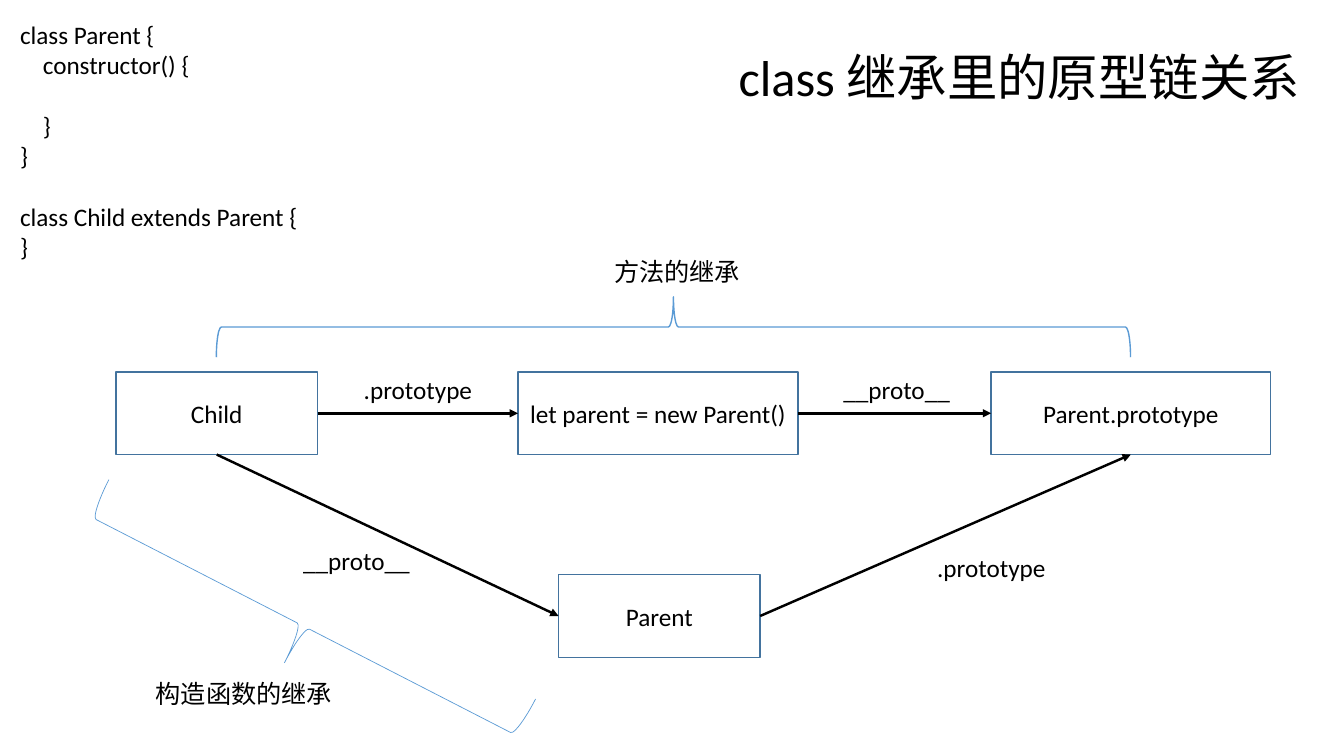
from lxml import etree
from pptx import Presentation
from pptx import util as u
from pptx.dml.color import RGBColor
from pptx.enum import shapes, text
from pptx.oxml.ns import qn

COLORS = {"text": "000000", "box": "43739E", "brace": "5B9BD5"}
TOP, LEFT, BOTTOM, RIGHT = 0, 1, 2, 3


class Diagram:
    font = "Calibri"
    size = 18
    box_height = 59

    def __init__(self, slide):
        self.slide = slide

    def color(self, name):
        return RGBColor.from_string(COLORS[name])

    def style_paragraph(self, paragraph, size, align):
        paragraph.alignment = align
        paragraph.font.name = self.font
        paragraph.font.size = u.Pt(size)
        paragraph.font.color.rgb = self.color("text")

    def outline(self, kind, left, top, width, height, color, weight):
        shape = self.slide.shapes.add_shape(
            kind, u.Pt(left), u.Pt(top), u.Pt(width), u.Pt(height))
        shape.shadow.inherit = False
        shape.fill.background()
        shape.line.color.rgb = self.color(color)
        shape.line.width = u.Pt(weight)
        return shape

    def box(self, label, left, top, width):
        shape = self.outline(shapes.MSO_SHAPE.RECTANGLE, left, top, width,
                             self.box_height, "box", 1)
        frame = shape.text_frame
        frame.word_wrap = True
        frame.vertical_anchor = text.MSO_ANCHOR.MIDDLE
        frame.text = label
        self.style_paragraph(frame.paragraphs[0], self.size, text.PP_ALIGN.CENTER)
        return shape

    def brace(self, left, top, width, height, rotation, weight):
        shape = self.outline(shapes.MSO_SHAPE.LEFT_BRACE, left, top, width, height,
                             "brace", weight)
        shape.rotation = rotation

    def arrow(self, start, start_side, end, end_side,
              kind=shapes.MSO_CONNECTOR.STRAIGHT):
        connector = self.slide.shapes.add_connector(kind, 0, 0, 0, 0)
        connector.begin_connect(start, start_side)
        connector.end_connect(end, end_side)
        connector.line.color.rgb = self.color("text")
        connector.line.width = u.Pt(1.75)
        etree.SubElement(connector.line._get_or_add_ln(), qn("a:tailEnd"),
                         type="triangle")
        etree.SubElement(connector._element.spPr, qn("a:effectLst"))

    def text_box(self, lines, left, top, width, height, size=size,
                 align=text.PP_ALIGN.CENTER):
        shape = self.slide.shapes.add_textbox(
            u.Pt(left), u.Pt(top), u.Pt(width), u.Pt(height))
        frame = shape.text_frame
        frame.word_wrap = True
        frame.text = "\n".join(lines)
        for paragraph in frame.paragraphs:
            self.style_paragraph(paragraph, size, align)
        return frame.paragraphs

    def code(self, lines, left, top, width, height):
        """Each line is (text, indent level, blank lines above)."""
        paragraphs = self.text_box([line[0] for line in lines], left, top, width,
                                   height, align=text.PP_ALIGN.LEFT)
        for paragraph, (_, level, gap) in zip(paragraphs, lines):
            paragraph.space_before = u.Pt(22 * gap)
            properties = paragraph._p.get_or_add_pPr()
            properties.set("marL", str(u.Pt(16.3 * level)))
            properties.set("indent", "0")


def main():
    presentation = Presentation()
    presentation.slide_width = u.Pt(960)
    presentation.slide_height = u.Pt(540)
    slide = presentation.slides.add_slide(presentation.slide_layouts[6])
    diagram = Diagram(slide)

    # Title and class definitions
    diagram.text_box(["class 继承里的原型链关系"], 520.5, 29.5, 440, 51, size=36,
                     align=text.PP_ALIGN.LEFT)
    diagram.code([
        ("class Parent {", 0, 0),
        ("constructor() {", 1, 0),
        ("}", 1, 1),
        ("}", 0, 0),
        ("class Child extends Parent {", 0, 1),
        ("}", 0, 0),
    ], 7.2, 10, 248, 181.5)

    # Objects of the prototype chain
    row_top = 265.7
    child = diagram.box("Child", 82.8, row_top, 144)
    instance = diagram.box("let parent = new Parent()", 370, row_top, 200)
    prototype = diagram.box("Parent.prototype", 708, row_top, 199.5)
    parent = diagram.box("Parent", 399, 410.5, 144)

    # Links between them
    diagram.arrow(child, RIGHT, instance, LEFT)
    diagram.arrow(instance, RIGHT, prototype, LEFT, shapes.MSO_CONNECTOR.ELBOW)
    diagram.arrow(child, BOTTOM, parent, LEFT)
    diagram.arrow(parent, RIGHT, prototype, BOTTOM)

    # Braces over the two inheritance paths
    diagram.brace(459.4, -92.9, 43.2, 653, 90, 1)
    diagram.brace(187.2, 275.8, 59, 342.7, 297.2, 0.5)

    # Labels
    for label, left, top, width in [
        (".prototype", 247, 263.5, 103),
        ("__proto__", 582.5, 263.5, 116),
        ("__proto__", 196.6, 386, 116),
        (".prototype", 656.6, 391, 103),
        ("方法的继承", 425, 179.3, 117.4),
        ("构造函数的继承", 101.5, 481, 145.4),
    ]:
        diagram.text_box([label], left, top, width, 29)

    presentation.save("out.pptx")


if __name__ == "__main__":
    main()
